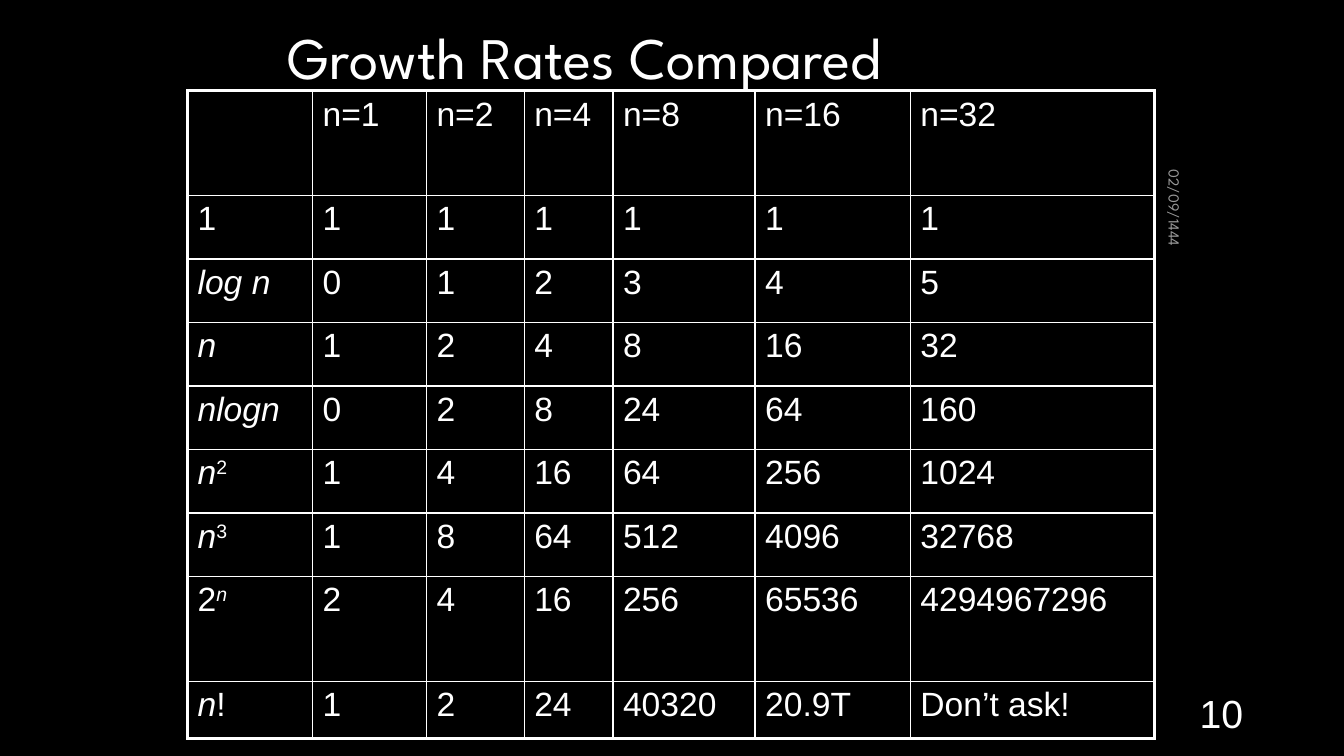
from lxml import etree
from pptx import Presentation
from pptx.dml.color import RGBColor
from pptx.enum.text import MSO_ANCHOR, PP_ALIGN
from pptx.oxml.ns import qn
from pptx.util import Inches, Pt

LEFT, CENTER = PP_ALIGN.LEFT, PP_ALIGN.CENTER
MIDDLE, BOTTOM = MSO_ANCHOR.MIDDLE, MSO_ANCHOR.BOTTOM

WHITE, GRAY, BLACK = "FFFFFF", "999999", "000000"
HEADING_FONT, BODY_FONT = "League Spartan", "Arial"

TITLE = "Growth Rates Compared"
DATE = "02/09/1444"
PAGE = "10"
SIZES = ["n=1", "n=2", "n=4", "n=8", "n=16", "n=32"]
ITALIC, RAISED = "italic", "raised"
GROWTH = [
    ([("1",)], ["1", "1", "1", "1", "1", "1"]),
    ([("log n", ITALIC)], ["0", "1", "2", "3", "4", "5"]),
    ([("n", ITALIC)], ["1", "2", "4", "8", "16", "32"]),
    ([("nlogn", ITALIC)], ["0", "2", "8", "24", "64", "160"]),
    ([("n", ITALIC), ("2", RAISED)], ["1", "4", "16", "64", "256", "1024"]),
    ([("n", ITALIC), ("3", RAISED)], ["1", "8", "64", "512", "4096", "32768"]),
    ([("2",), ("n", ITALIC, RAISED)], ["2", "4", "16", "256", "65536", "4294967296"]),
    ([("n", ITALIC), ("!",)], ["1", "2", "24", "40320", "20.9T", "Don’t ask!"]),
]
COLUMN_WIDTHS = [1.24, 1.13, 0.97, 0.88, 1.41, 1.54, 2.42]
ROW_HEIGHTS = [1.04] + [0.63] * 6 + [1.04, 0.57]
INNER_LINE, OUTER_LINE = 1, 2.25


def color(value):
    return RGBColor.from_string(value)


def add_run(paragraph, text, size, font, shade=WHITE, styles=()):
    run = paragraph.add_run()
    run.text = text
    run.font.size = Pt(size)
    run.font.name = font
    run.font.color.rgb = color(shade)
    if ITALIC in styles:
        run.font.italic = True
    if RAISED in styles:
        run.font._element.set("baseline", "30000")


def fill_frame(shape, text, size, font, align, anchor, shade=WHITE):
    frame = shape.text_frame
    frame.word_wrap = True
    frame.vertical_anchor = anchor
    frame.paragraphs[0].alignment = align
    add_run(frame.paragraphs[0], text, size, font, shade)


def draw_borders(cell, row, column):
    outer = {
        "L": column == 0,
        "R": column == len(COLUMN_WIDTHS) - 1,
        "T": row == 0,
        "B": row == len(ROW_HEIGHTS) - 1,
    }
    properties = cell._tc.get_or_add_tcPr()
    for side, is_outer in outer.items():
        width = OUTER_LINE if is_outer else INNER_LINE
        line = etree.SubElement(properties, qn("a:ln" + side), w=str(Pt(width)))
        solid = etree.SubElement(line, qn("a:solidFill"))
        etree.SubElement(solid, qn("a:srgbClr"), val=WHITE)


def add_growth_table(slide):
    rows = [[[]] + [[(size,)] for size in SIZES]]
    rows += [[label] + [[(value,)] for value in values] for label, values in GROWTH]
    table = slide.shapes.add_table(
        len(ROW_HEIGHTS), len(COLUMN_WIDTHS), Inches(1.86), Inches(0.9),
        Inches(sum(COLUMN_WIDTHS)), Inches(sum(ROW_HEIGHTS))).table
    table.first_row = False
    table.horz_banding = False
    for column, width in zip(table.columns, COLUMN_WIDTHS):
        column.width = Inches(width)
    for row, height in zip(table.rows, ROW_HEIGHTS):
        row.height = Inches(height)
    for r, entries in enumerate(rows):
        for c, pieces in enumerate(entries):
            cell = table.cell(r, c)
            draw_borders(cell, r, c)
            cell.fill.background()
            for text, *styles in pieces:
                add_run(cell.text_frame.paragraphs[0], text, 24, BODY_FONT, styles=styles)


def main():
    deck = Presentation()
    deck.slide_width, deck.slide_height = Inches(13.33), Inches(7.5)
    slide = deck.slides.add_slide(deck.slide_layouts[5])
    slide.background.fill.solid()
    slide.background.fill.fore_color.rgb = color(BLACK)

    title = slide.shapes.title
    title.left, title.top = Inches(2.75), Inches(0.1)
    title.width, title.height = Inches(8.66), Inches(0.92)
    fill_frame(title, TITLE, 42, HEADING_FONT, LEFT, MIDDLE)

    add_growth_table(slide)

    date = slide.shapes.add_textbox(Inches(11.11), Inches(1.96), Inches(1.08), Inches(0.33))
    date.rotation = 90
    fill_frame(date, DATE, 11, HEADING_FONT, LEFT, MIDDLE, GRAY)

    page = slide.shapes.add_textbox(Inches(11.78), Inches(6.95), Inches(0.67), Inches(0.4))
    fill_frame(page, PAGE, 28, BODY_FONT, CENTER, BOTTOM)

    deck.save("out.pptx")


if __name__ == "__main__":
    main()
